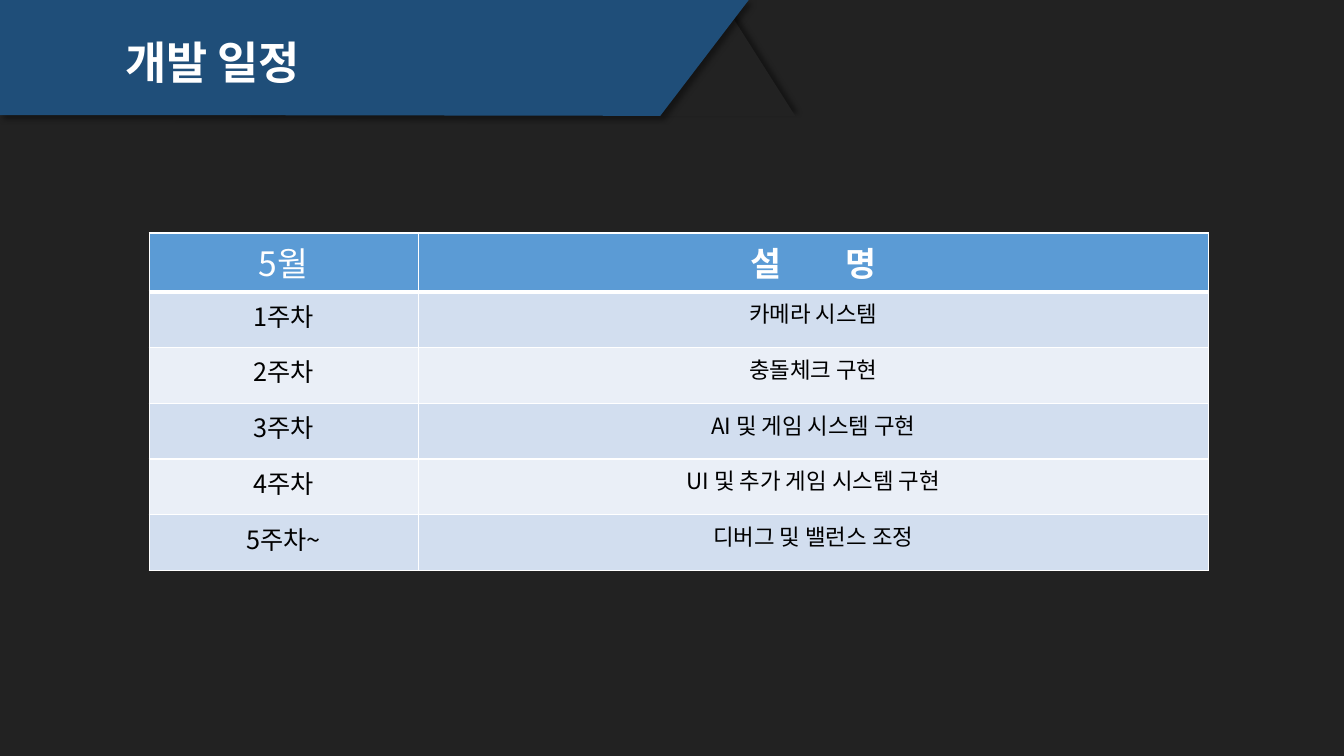
from dataclasses import dataclass

from lxml.etree import SubElement
from pptx import Presentation
from pptx.dml.color import RGBColor
from pptx.enum.shapes import MSO_SHAPE
from pptx.enum.text import MSO_ANCHOR, PP_ALIGN
from pptx.oxml import parse_xml
from pptx.oxml.ns import nsdecls, qn
from pptx.util import Cm, Pt

TITLE = "개발 일정"
HEADER = ("5월", "설 명")
SCHEDULE = [
    ("1주차", "카메라 시스템"),
    ("2주차", "충돌체크 구현"),
    ("3주차", "AI 및 게임 시스템 구현"),
    ("4주차", "UI 및 추가 게임 시스템 구현"),
    ("5주차~", "디버그 및 밸런스 조정"),
]
BANNER = [(0, 0), (18.87, 0), (16.64, 2.92), (3.94, 2.9), (0, 2.9)]
COLUMN_WIDTHS = (6.78, 19.91)
ROW_HEIGHT = 1.405


@dataclass(frozen=True)
class Theme:
    """Colours, font and type sizes of the slide."""
    font: str = "Noto Sans CJK KR"
    background: str = "222222"
    banner: str = "1F4E79"
    header: str = "5B9BD5"
    bands: tuple = ("D2DEEF", "EAEFF7")
    light: str = "FFFFFF"
    dark: str = "000000"
    title_size: int = 32
    header_size: int = 24
    body_sizes: tuple = (18, 16)


THEME = Theme()


def paint(fill, colour):
    """Give a fill one solid colour."""
    fill.solid()
    fill.fore_color.rgb = RGBColor.from_string(colour)


def style_shape(shape, colour, shadow_angle):
    """Fill a shape without outline and cast a soft shadow."""
    paint(shape.fill, colour)
    shape.line.fill.background()
    shape.element.spPr.append(parse_xml(
        f'<a:effectLst {nsdecls("a")}><a:outerShdw blurRad="{Pt(4)}" dist="{Pt(3)}" '
        f'dir="{shadow_angle * 60000}" algn="tl" rotWithShape="0"><a:srgbClr val="{THEME.dark}">'
        '<a:alpha val="40000"/></a:srgbClr></a:outerShdw></a:effectLst>'))


def style_run(run, size, colour, bold=False):
    """Set the typeface of a run for Latin and Korean text."""
    run.font.name = THEME.font
    run.font.size = Pt(size)
    run.font.bold = bold
    run.font.color.rgb = RGBColor.from_string(colour)
    SubElement(run.font._element, qn("a:ea"), typeface=THEME.font)


def style_cell(cell, fill, bottom_width=1):
    """Fill a cell and draw its white borders."""
    paint(cell.fill, fill)
    properties = cell._tc.get_or_add_tcPr()
    widths = {"lnL": 1, "lnR": 1, "lnT": 1, "lnB": bottom_width}
    for position, (side, width) in enumerate(widths.items()):
        properties.insert(position, parse_xml(
            f'<a:{side} {nsdecls("a")} w="{Pt(width)}"><a:solidFill>'
            f'<a:srgbClr val="{THEME.light}"/></a:solidFill></a:{side}>'))


def add_banner(slide):
    """Draw the slanted banner over its triangular fold."""
    fold = slide.shapes.add_shape(
        MSO_SHAPE.ISOSCELES_TRIANGLE, Cm(16.69), Cm(0.28), Cm(3.35), Cm(2.64))
    style_shape(fold, THEME.background, 315)
    corners = [(Cm(x), Cm(y)) for x, y in BANNER]
    builder = slide.shapes.build_freeform(*corners[0])
    builder.add_line_segments(corners[1:], close=True)
    style_shape(builder.convert_to_shape(), THEME.banner, 45)


def add_title(slide):
    """Place the title in front of the banner."""
    title = slide.shapes.title
    title.left, title.top, title.width, title.height = Cm(2.9), Cm(0.74), Cm(5.46), Cm(1.63)
    frame = title.text_frame
    frame.text = TITLE
    frame.word_wrap = False
    frame.vertical_anchor = MSO_ANCHOR.TOP
    paragraph = frame.paragraphs[0]
    paragraph.alignment = PP_ALIGN.LEFT
    style_run(paragraph.runs[0], THEME.title_size, THEME.light, bold=True)
    title.element.getparent().append(title.element)


def add_schedule(slide):
    """Build the table of weeks and tasks."""
    rows = [HEADER, *SCHEDULE]
    table = slide.shapes.add_table(
        len(rows), len(HEADER), Cm(3.76), Cm(5.87),
        Cm(sum(COLUMN_WIDTHS)), Cm(ROW_HEIGHT * len(rows))).table
    table.first_row = table.horz_banding = False
    for column, width in zip(table.columns, COLUMN_WIDTHS):
        column.width = Cm(width)
    for row_index, texts in enumerate(rows):
        table.rows[row_index].height = Cm(ROW_HEIGHT)
        is_header = row_index == 0
        for column_index, text in enumerate(texts):
            cell = table.cell(row_index, column_index)
            paragraph = cell.text_frame.paragraphs[0]
            paragraph.alignment = PP_ALIGN.CENTER
            if is_header:
                style_cell(cell, THEME.header, bottom_width=3)
                for character in text:
                    run = paragraph.add_run()
                    run.text = character
                    style_run(run, THEME.header_size, THEME.light, bold=column_index == 1)
                    if character == " ":
                        run.font._element.set("spc", "4000")
            else:
                style_cell(cell, THEME.bands[(row_index - 1) % 2])
                paragraph.text = text
                style_run(paragraph.runs[0], THEME.body_sizes[column_index], THEME.dark)


def main():
    """Build and save the development schedule slide."""
    presentation = Presentation()
    presentation.slide_width, presentation.slide_height = Cm(33.87), Cm(19.05)
    slide = presentation.slides.add_slide(presentation.slide_layouts[5])
    paint(slide.background.fill, THEME.background)
    add_banner(slide)
    add_title(slide)
    add_schedule(slide)
    presentation.save("out.pptx")


if __name__ == "__main__":
    main()
